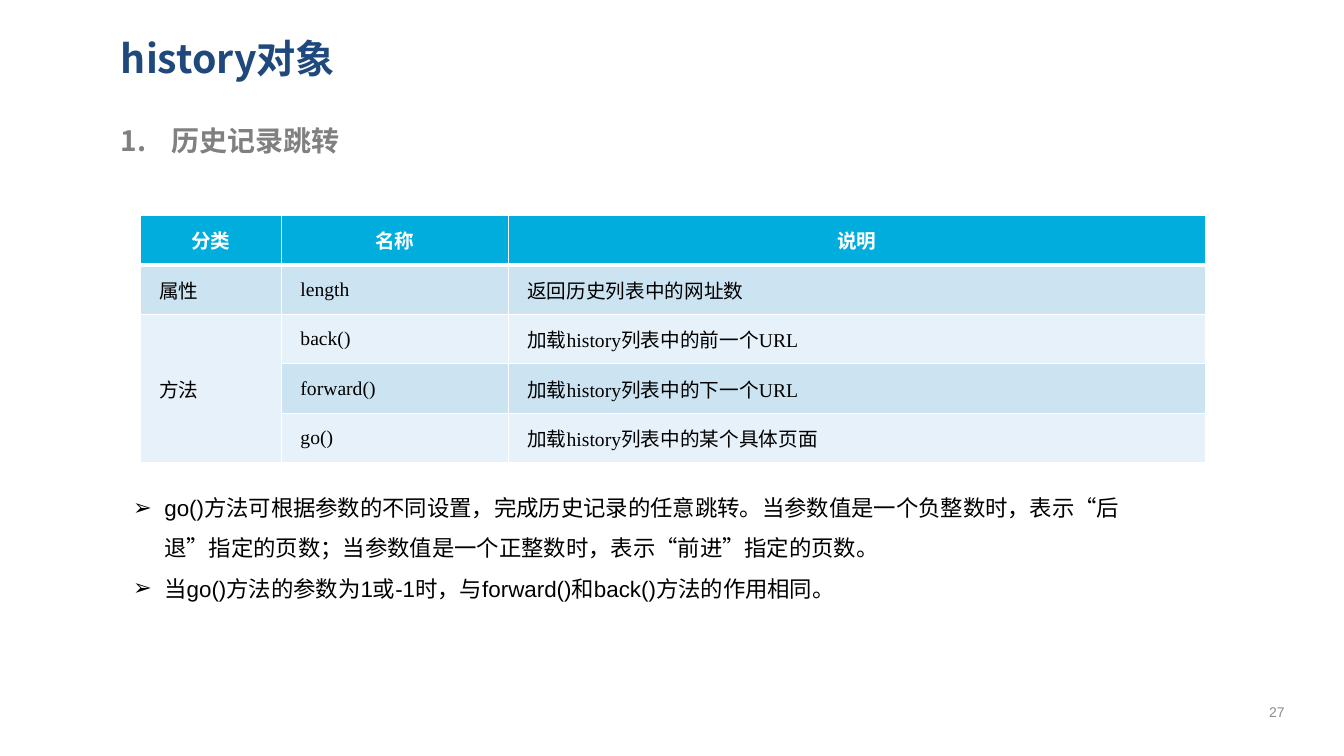
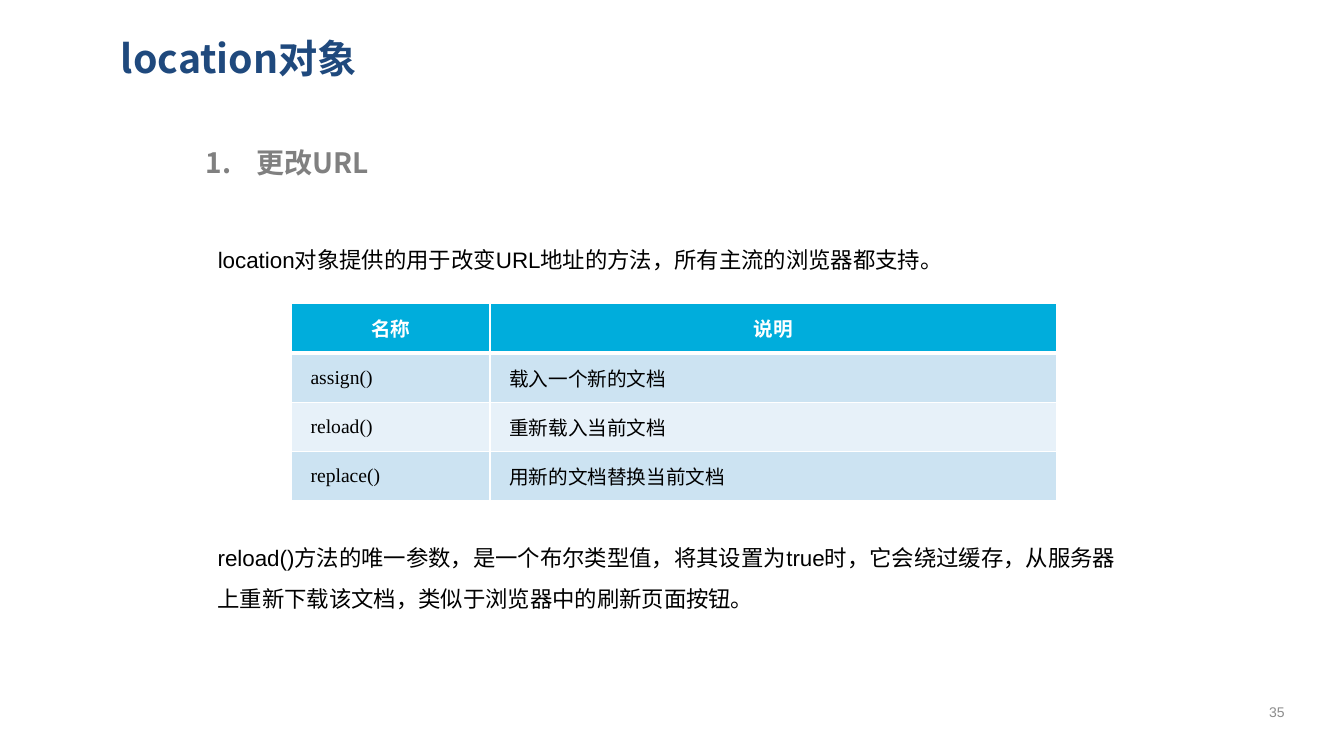
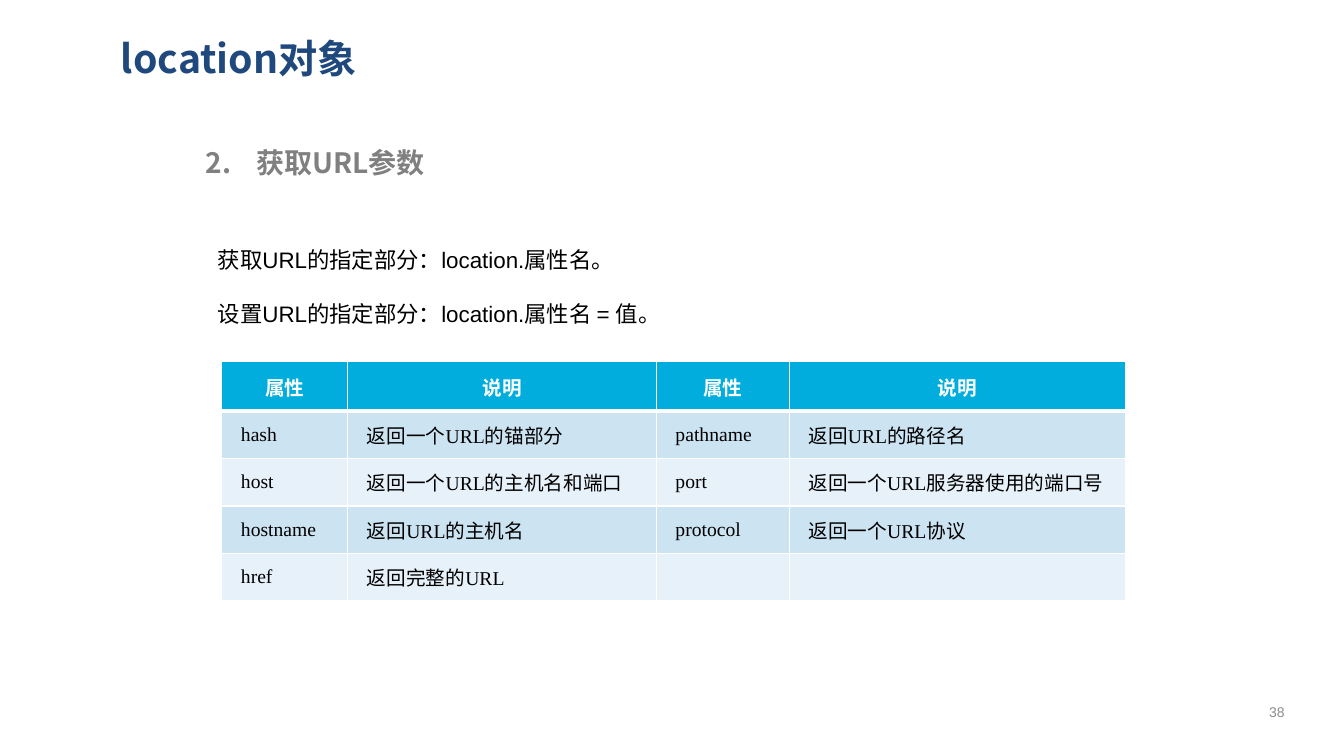
from dataclasses import dataclass

from lxml import etree
from pptx import Presentation
from pptx.dml.color import RGBColor
from pptx.enum import lang, text
from pptx.oxml import ns
from pptx.util import Inches, Pt


@dataclass(frozen=True)
class Theme:
    cjk: str = "Noto Sans CJK SC"
    # Each style: font, size, colour, bold
    title: tuple = ("Noto Sans CJK SC", 28, "1F497D", True)
    topic: tuple = ("Noto Sans CJK SC", 20, "808080", True)
    body: tuple = ("Arial", 16, "000000", False)
    head: tuple = ("Arial", 14, "FFFFFF", True)
    cell: tuple = ("Times New Roman", 14, "000000", False)
    page: tuple = ("Arial", 10, "8C8C8C", False)
    bar: str = "00ADDC"
    bands: tuple = ("CCE3F2", "E7F1F9")
    rule: str = "FFFFFF"


T = Theme()
ALIGN = text.PP_ALIGN


def write(frame, lines, style, align=ALIGN.LEFT, gap=1.0, indent=(0, 0), bullet=None):
    """Fill a frame; indent is (margin, first line) and bullet (tag, attributes)."""
    face, size, color, bold = style
    frame.word_wrap = True
    for i, line in enumerate(lines):
        para = frame.paragraphs[0] if i == 0 else frame.add_paragraph()
        para.text = line
        para.alignment = align
        para.line_spacing = gap
        para.space_before = Pt(0)
        props = para._p.get_or_add_pPr()
        props.set("marL", str(Inches(indent[0])))
        props.set("indent", str(Inches(indent[1])))
        if bullet:
            etree.SubElement(props, ns.qn("a:buFont"), typeface=face)
            etree.SubElement(props, ns.qn("a:" + bullet[0]), bullet[1])
        else:
            etree.SubElement(props, ns.qn("a:buNone"))
        for run in para.runs:
            font = run.font
            font.name, font.size, font.bold = face, Pt(size), bold
            font.color.rgb = RGBColor.from_string(color)
            font.language_id = lang.MSO_LANGUAGE_ID.SIMPLIFIED_CHINESE
            latin = font._element.find(ns.qn("a:latin"))
            latin.addnext(etree.Element(ns.qn("a:ea"), typeface=T.cjk))


def place(shape, box):
    shape.left, shape.top, shape.width, shape.height = map(Inches, box)


SLIDES = [
    dict(
        title="history对象", page="27", start=1, topic="历史记录跳转",
        at=(1.1, 1.17, 9.22, 0.44),
        box=(1.22, 4.72, 10.58, 1.26), gap=1.5,
        indent=(0.31, -0.31), bullet=("buChar", {"char": "➢"}),
        body=[
            "go()方法可根据参数的不同设置，完成历史记录的任意跳转。当参数值是一个负整数时，"
            "表示“后退”指定的页数；当参数值是一个正整数时，表示“前进”指定的页数。",
            "当go()方法的参数为1或-1时，与forward()和back()方法的作用相同。",
        ],
        spot=(1.39, 2.14), cols=(1.4, 2.25, 6.92), row=0.49, merge=((2, 0), (4, 0)),
        grid=[
            ("分类", "名称", "说明"),
            ("属性", "length", "返回历史列表中的网址数"),
            ("方法", "back()", "加载history列表中的前一个URL"),
            ("", "forward()", "加载history列表中的下一个URL"),
            ("", "go()", "加载history列表中的某个具体页面"),
        ],
    ),
    dict(
        title="location对象", page="35", start=1, topic="更改URL",
        at=(1.94, 1.39, 9.22, 0.44),
        box=(2.06, 2.13, 9.19, 0.61), gap=2.0,
        body=["location对象提供的用于改变URL地址的方法，所有主流的浏览器都支持。"],
        spot=(2.89, 3.01), cols=(1.97, 5.62), row=0.49,
        grid=[
            ("名称", "说明"),
            ("assign()", "载入一个新的文档"),
            ("reload()", "重新载入当前文档"),
            ("replace()", "用新的文档替换当前文档"),
        ],
        note="reload()方法的唯一参数，是一个布尔类型值，将其设置为true时，它会绕过缓存，"
             "从服务器上重新下载该文档，类似于浏览器中的刷新页面按钮。",
    ),
    dict(
        title="location对象", page="38", start=2, topic="获取URL参数",
        at=(1.94, 1.39, 9.22, 0.44),
        box=(2.06, 2.13, 9.19, 1.22), gap=2.0,
        body=["获取URL的指定部分：location.属性名。", "设置URL的指定部分：location.属性名 = 值。"],
        spot=(2.2, 3.59), cols=(1.25, 3.06, 1.32, 3.33), row=0.47,
        grid=[
            ("属性", "说明", "属性", "说明"),
            ("hash", "返回一个URL的锚部分", "pathname", "返回URL的路径名"),
            ("host", "返回一个URL的主机名和端口", "port", "返回一个URL服务器使用的端口号"),
            ("hostname", "返回URL的主机名", "protocol", "返回一个URL协议"),
            ("href", "返回完整的URL", "", ""),
        ],
    ),
]
HEAD = 0.49

deck = Presentation()
deck.slide_width, deck.slide_height = Inches(13.33), Inches(7.5)
layout = deck.slide_layouts.get_by_name("Two Content")
place(layout.placeholders[0], (1.1, 0.24, 11.65, 0.67))

for data in SLIDES:
    slide = deck.slides.add_slide(layout)
    title, topic, body = slide.placeholders
    write(title.text_frame, [data["title"]], T.title)
    title.text_frame.vertical_anchor = text.MSO_ANCHOR.MIDDLE

    place(topic, data["at"])
    number = {"type": "arabicPeriod", "startAt": str(data["start"])}
    write(topic.text_frame, [data["topic"]], T.topic,
          indent=(0.5, -0.5), bullet=("buAutoNum", number))
    place(body, data["box"])
    write(body.text_frame, data["body"], T.body, gap=data["gap"],
          indent=data.get("indent", (0, 0)), bullet=data.get("bullet"))
    for shape in (topic, body):
        shape.text_frame.auto_size = text.MSO_AUTO_SIZE.SHAPE_TO_FIT_TEXT

    grid, cols = data["grid"], data["cols"]
    high = HEAD + data["row"] * (len(grid) - 1)
    size = (*data["spot"], sum(cols), high)
    table = slide.shapes.add_table(len(grid), len(cols), *map(Inches, size)).table
    table.horz_banding = False
    for col, width in zip(table.columns, cols):
        col.width = Inches(width)
    for r, line in enumerate(grid):
        table.rows[r].height = Inches(data["row"] if r else HEAD)
        for c, words in enumerate(line):
            cell = table.cell(r, c)
            cell.margin_left = cell.margin_right = Inches(0.07)
            cell.margin_top = cell.margin_bottom = 0
            cell.vertical_anchor = text.MSO_ANCHOR.MIDDLE
            wide = {"L": 1, "R": 1, "T": 3 if r == 1 else 1, "B": 1 if r else 3}
            for side, points in wide.items():
                edge = etree.SubElement(cell._tc.get_or_add_tcPr(),
                                        ns.qn("a:ln" + side), w=str(Pt(points)))
                fill = etree.SubElement(edge, ns.qn("a:solidFill"))
                etree.SubElement(fill, ns.qn("a:srgbClr"), val=T.rule)
            cell.fill.solid()
            cell.fill.fore_color.rgb = RGBColor.from_string(
                T.bands[(r - 1) % 2] if r else T.bar)
            if words and r:
                write(cell.text_frame, [words], T.cell, ALIGN.JUSTIFY, indent=(0.12, 0))
            elif words:
                write(cell.text_frame, [words], T.head, ALIGN.CENTER)
    if "merge" in data:
        first, last = data["merge"]
        table.cell(*first).merge(table.cell(*last))

    if "note" in data:
        note = slide.shapes.add_textbox(*map(Inches, (2.06, 5.22, 9.31, 0.95)))
        write(note.text_frame, [data["note"]], T.body, gap=1.5)
    page = slide.shapes.add_textbox(*map(Inches, (12.34, 6.86, 0.65, 0.4)))
    write(page.text_frame, [data["page"]], T.page, ALIGN.CENTER)
    page.text_frame.vertical_anchor = text.MSO_ANCHOR.MIDDLE

deck.save("out.pptx")
